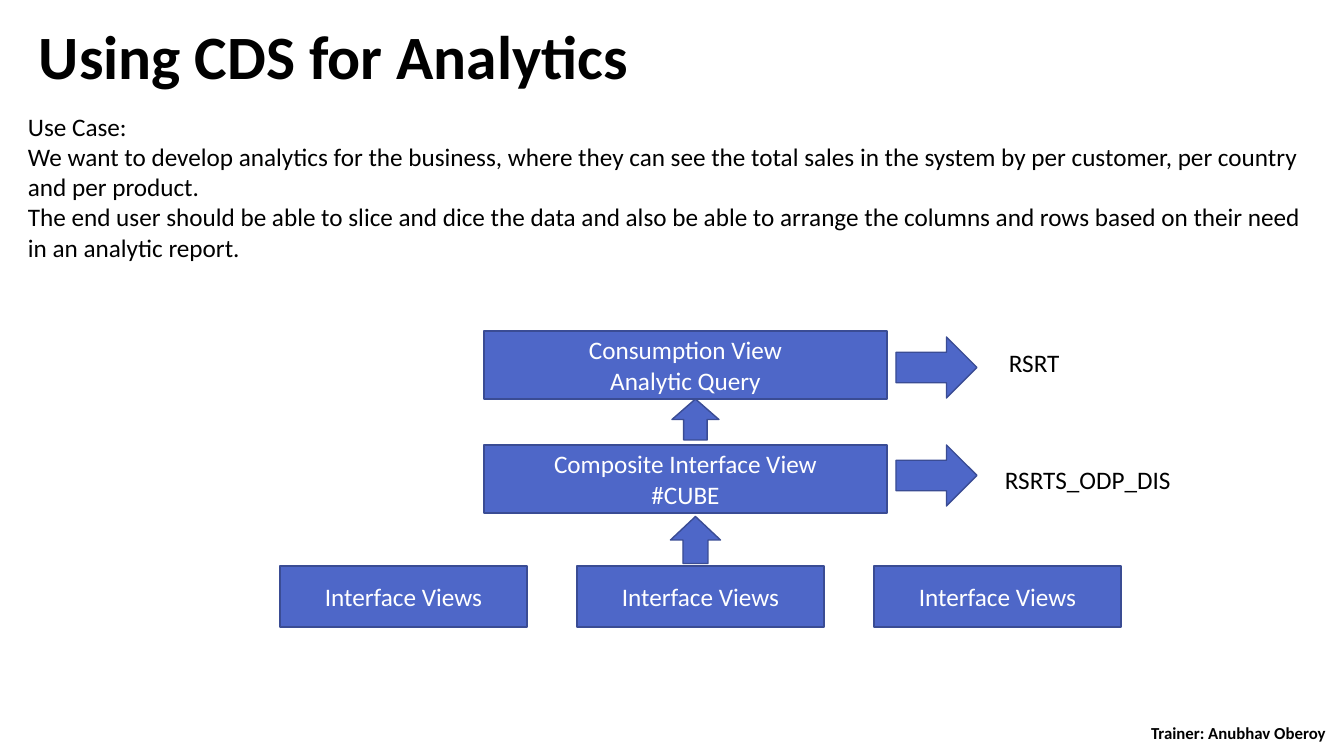
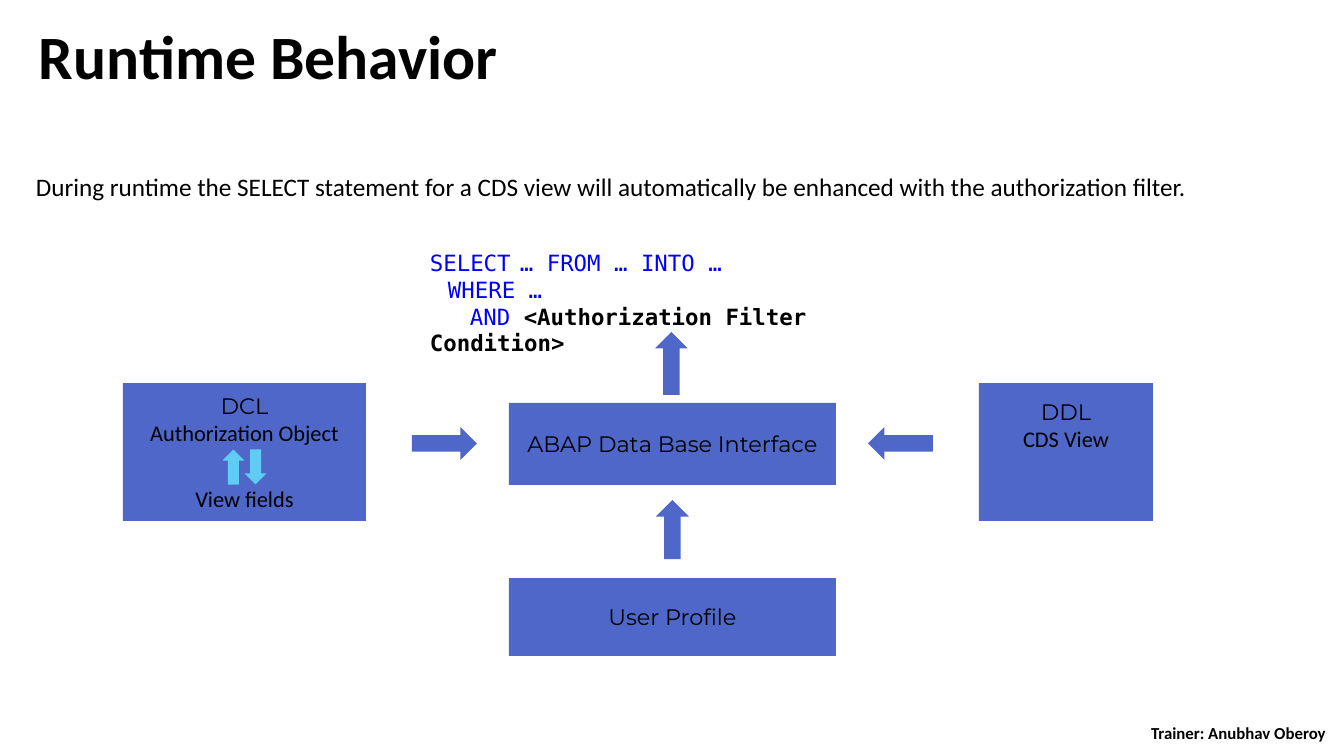
from pptx import Presentation
from pptx.dml.color import RGBColor
from pptx.enum.shapes import MSO_SHAPE as SHAPE
from pptx.enum.text import MSO_ANCHOR as ANCHOR, PP_ALIGN as ALIGN
from pptx.util import Pt

EMU_PER_PX = 914400 / 100.8
BLUE, EDGE, CYAN, CODE = "4E67C8", "3A4C94", "5ECCF3", "0000FF"
BLACK, WHITE = "000000", "FFFFFF"
SANS, GEOMETRIC, MONO = "Calibri", "Montserrat", "DejaVu Sans Mono"


def px(n):
    return round(n * EMU_PER_PX)


def rgb(value):
    return RGBColor.from_string(value)


class Deck:
    def __init__(self):
        self.prs = Presentation()
        self.prs.slide_width, self.prs.slide_height = px(1344), px(756)

    def slide(self, title):
        self.s = self.prs.slides.add_slide(self.prs.slide_layouts[6])
        tf = self.text(29, 21, 1245, 79, [title], size=44, bold=True)
        tf.paragraphs[0].line_spacing = 0.9
        tf = self.text(1116, 722, 245, 22, ["Trainer: Anubhav Oberoy"],
                       size=12, bold=True, align=ALIGN.CENTER)
        tf.vertical_anchor = ANCHOR.MIDDLE

    def style(self, font, size=18, name=SANS, color=BLACK, bold=False):
        font.size, font.name, font.bold = Pt(size), name, bold
        font.color.rgb = rgb(color)

    def fill_text(self, tf, lines, align, **style):
        tf.word_wrap = True
        for i, line in enumerate(lines):
            p = tf.add_paragraph() if i else tf.paragraphs[0]
            p.alignment = align
            self.style(p.font, **style)
            if line:
                p.add_run().text = line

    def add_run(self, p, text, **style):
        r = p.add_run()
        r.text = text
        self.style(r.font, **style)

    def text(self, x, y, w, h, lines, inset=True, align=ALIGN.LEFT, **style):
        tf = self.s.shapes.add_textbox(px(x), px(y), px(w), px(h)).text_frame
        if not inset:
            tf.margin_left = tf.margin_right = 0
            tf.margin_top = tf.margin_bottom = 0
        self.fill_text(tf, lines, align, **style)
        return tf

    def shape(self, kind, x, y, w, h, fill=BLUE, edge=None):
        sp = self.s.shapes.add_shape(kind, px(x), px(y), px(w), px(h))
        sp.shadow.inherit = False
        sp.fill.solid()
        sp.fill.fore_color.rgb = rgb(fill)
        if edge:
            sp.line.color.rgb = rgb(edge)
            sp.line.width = Pt(1)
        else:
            sp.line.fill.background()
        return sp

    def box(self, x, y, w, h, lines, edge=None, **style):
        tf = self.shape(SHAPE.RECTANGLE, x, y, w, h, edge=edge).text_frame
        tf.vertical_anchor = ANCHOR.MIDDLE
        self.fill_text(tf, lines, ALIGN.CENTER, **style)
        return tf

    def arrow(self, x, y, w, h, turn=0, **look):
        self.shape(SHAPE.RIGHT_ARROW, x, y, w, h, **look).rotation = turn


UP, DOWN, LEFT = 270, 90, 180
deck = Deck()

deck.slide("Using CDS for Analytics")
deck.text(18, 106, 1312, 163, [
    "Use Case:",
    "We want to develop analytics for the business, where they can see the total sales "
    "in the system by per customer, per country and per product.",
    "The end user should be able to slice and dice the data and also be able to arrange "
    "the columns and rows based on their need in an analytic report."])
for i in range(3):
    deck.box(280 + 297 * i, 566, 247, 61, ["Interface Views"], edge=EDGE, color=WHITE)
for y, lines in ((445, ["Composite Interface View", "#CUBE"]),
                 (331, ["Consumption View", "Analytic Query"])):
    deck.box(484, y, 403, 68, lines, edge=EDGE, color=WHITE)
for y, x, label_y, w, label in ((445, 995, 459, 336, "RSRTS_ODP_DIS"),
                                (337, 999, 342, 101, "RSRT")):
    deck.arrow(896, y, 81, 61, edge=EDGE)
    deck.text(x, label_y, w, 40, [label])
deck.arrow(672, 515, 47, 50, UP, edge=EDGE)
deck.arrow(675, 396, 41, 47, UP, edge=EDGE)

deck.slide("Runtime Behavior")
deck.text(36, 171, 1238, 30, [
    "During runtime the SELECT statement for a CDS view will automatically be enhanced "
    "with the authorization filter."], inset=False)

tf = deck.text(430, 249, 483, 82, ["", "WHERE …", ""],
               inset=False, size=16, name=MONO, color=CODE)
select, where, condition = tf.paragraphs
deck.add_run(select, "SELECT", size=16, name=MONO, color=CODE)
deck.add_run(select, " ", size=11, name="Courier New")
deck.add_run(select, "… FROM … INTO …", size=16, name=MONO, color=CODE)
deck.add_run(condition, "AND ", size=16, name=MONO, color=CODE)
deck.add_run(condition, "<Authorization Filter Condition>", size=16, name=MONO, bold=True)
for p, indent in ((where, 18), (condition, 40)):
    p._p.get_or_add_pPr().set("indent", str(px(indent)))

for y, h, label in ((578, 78, "User Profile"), (403, 82, "ABAP Data Base Interface")):
    deck.box(509, y, 327, h, [label], size=16, name=GEOMETRIC)

dcl = deck.box(123, 383, 243, 138, ["DCL", "Authorization Object", "View fields"], size=16)
dcl.paragraphs[2].space_before = Pt(28)
ddl = deck.box(979, 383, 174, 138, ["DDL", "CDS View"], size=16)
ddl.vertical_anchor = ANCHOR.TOP
ddl.margin_top = px(15)
for tf in (dcl, ddl):
    tf.paragraphs[0].font.name = GEOMETRIC

deck.arrow(412, 427, 65, 33)
deck.arrow(868, 427, 65, 33, LEFT)
deck.arrow(643, 513, 59, 33, UP)
deck.arrow(640, 347, 63, 33, UP)
for x, turn in ((216, UP), (238, DOWN)):
    deck.arrow(x, 456, 35, 22, turn, fill=CYAN)

deck.prs.save("out.pptx")
